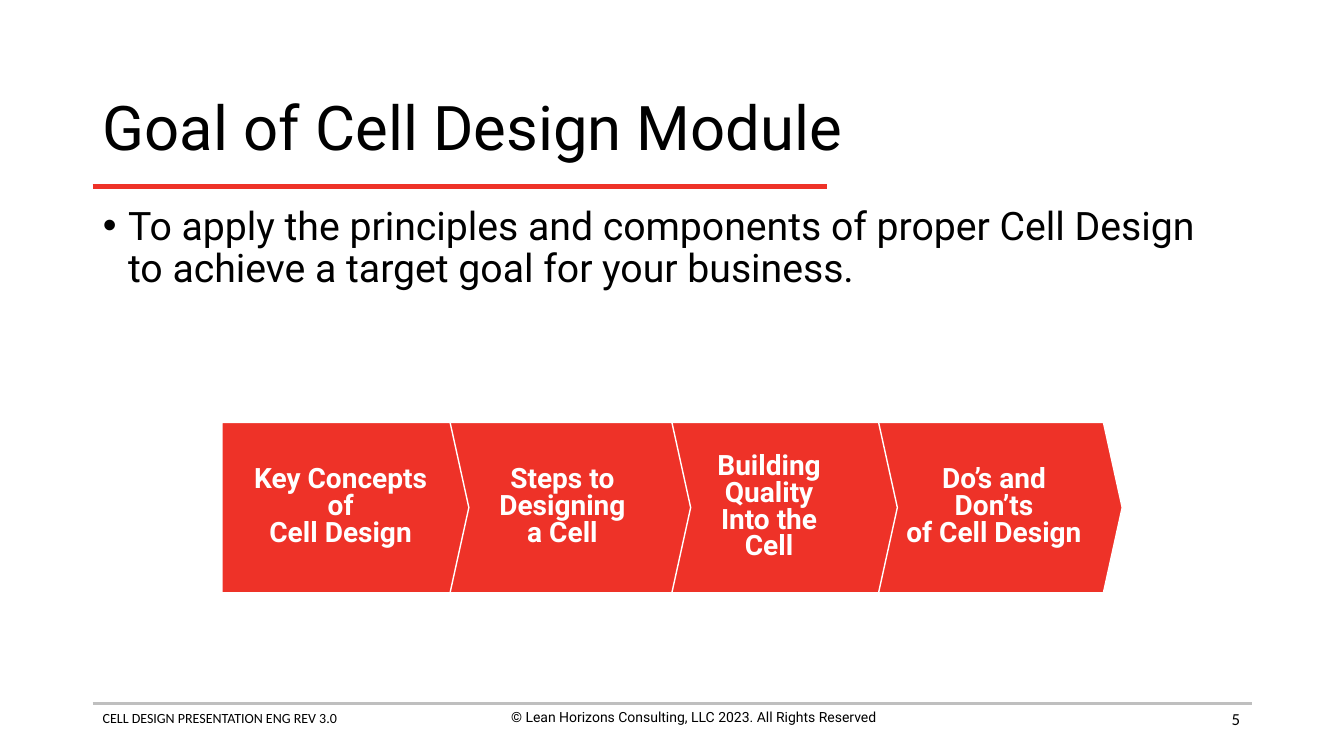
from dataclasses import dataclass

from lxml.etree import SubElement
from pptx import Presentation
from pptx.dml.color import RGBColor
from pptx.enum.shapes import MSO_CONNECTOR, MSO_SHAPE
from pptx.enum.text import MSO_ANCHOR, MSO_AUTO_SIZE, PP_ALIGN
from pptx.oxml.ns import qn
from pptx.util import Inches, Pt


@dataclass(frozen=True)
class Theme:
    red: RGBColor = RGBColor(0xEE, 0x32, 0x28)
    grey: RGBColor = RGBColor(0xBF, 0xBF, 0xBF)
    black: RGBColor = RGBColor(0, 0, 0)
    white: RGBColor = RGBColor(0xFF, 0xFF, 0xFF)
    main_font: str = "Roboto"
    footer_font: str = "Calibri"
    title_size: int = 44
    body_size: int = 28
    step_size: int = 20
    page_size: int = 12
    footer_size: int = 10


class SlideBuilder:
    def __init__(self, slide, theme):
        self.slide = slide
        self.theme = theme

    def place(self, shape, left, top, width, height):
        shape.left, shape.top = Inches(left), Inches(top)
        shape.width, shape.height = Inches(width), Inches(height)

    def set_text(self, shape, text, size, align=PP_ALIGN.LEFT, anchor=MSO_ANCHOR.TOP,
                 font=None, color=None, bold=False, spacing=1.0, wrap=True):
        frame = shape.text_frame
        frame.word_wrap = wrap
        frame.auto_size = MSO_AUTO_SIZE.NONE
        frame.vertical_anchor = anchor
        paragraph = frame.paragraphs[0]
        paragraph.text = text
        paragraph.alignment = align
        paragraph.line_spacing = spacing
        paragraph.space_before = Pt(0)
        for run in paragraph.runs:
            run.font.name = font or self.theme.main_font
            run.font.size = Pt(size)
            run.font.bold = bold
            run.font.color.rgb = color or self.theme.black

    def title(self, text, *box):
        heading = self.slide.shapes.title
        self.place(heading, *box)
        self.set_text(heading, text, self.theme.title_size,
                      anchor=MSO_ANCHOR.MIDDLE, spacing=0.9)

    def bullet(self, text, *box):
        body = self.slide.placeholders[1]
        self.place(body, *box)
        properties = body.text_frame.paragraphs[0]._p.get_or_add_pPr()
        properties.set("marL", str(Inches(0.25)))
        properties.set("indent", str(-Inches(0.25)))
        SubElement(properties, qn("a:buFont")).set("typeface", "Arial")
        SubElement(properties, qn("a:buChar")).set("char", "•")
        self.set_text(body, text, self.theme.body_size, spacing=0.9)

    def label(self, text, box, size, **style):
        left, top, width, height = map(Inches, box)
        textbox = self.slide.shapes.add_textbox(left, top, width, height)
        self.set_text(textbox, text, size, **style)

    def rule(self, left, right, y, color, weight):
        line = self.slide.shapes.add_connector(
            MSO_CONNECTOR.STRAIGHT, Inches(left), Inches(y), Inches(right), Inches(y))
        line.line.color.rgb = color
        line.line.width = Pt(weight)
        SubElement(line._element.spPr, qn("a:effectLst"))

    def step(self, text, left, top, width, height):
        arrow = self.slide.shapes.add_shape(
            MSO_SHAPE.PENTAGON, Inches(left), Inches(top), Inches(width), Inches(height))
        arrow.adjustments[0] = 0.11
        arrow.shadow.inherit = False
        arrow.fill.solid()
        arrow.fill.fore_color.rgb = self.theme.red
        arrow.line.color.rgb = self.theme.white
        arrow.line.width = Pt(1)
        self.set_text(arrow, text, self.theme.step_size, align=PP_ALIGN.CENTER,
                      anchor=MSO_ANCHOR.MIDDLE, color=self.theme.white, bold=True,
                      spacing=0.8, wrap=False)


def main():
    theme = Theme()
    presentation = Presentation()
    presentation.slide_width = Inches(13.33)
    presentation.slide_height = Inches(7.5)
    slide = presentation.slides.add_slide(presentation.slide_layouts[1])
    builder = SlideBuilder(slide, theme)
    margin, content_width = 0.92, 11.5

    builder.rule(margin, margin + content_width, 6.98, theme.grey, 2)
    builder.label("CELL DESIGN PRESENTATION ENG REV 3.0", (margin, 6.99, 4.56, 0.44),
                  theme.footer_size, font=theme.footer_font)
    builder.label("© Lean Horizons Consulting, LLC 2023. All Rights Reserved",
                  (4.6, 6.98, 4.56, 0.44), theme.footer_size, align=PP_ALIGN.CENTER)
    builder.rule(margin, 8.2, 1.85, theme.red, 3)
    builder.title("Goal of Cell Design Module", margin, 0.74, content_width, 1.1)
    builder.bullet("To apply the principles and components of proper Cell Design \n"
                   "to achieve a target goal for your business.",
                   margin, 2, content_width, 4.76)
    builder.label("5", (9.4, 6.93, 3, 0.4), theme.page_size, align=PP_ALIGN.RIGHT,
                  anchor=MSO_ANCHOR.MIDDLE, font=theme.footer_font)

    steps = [
        ("Do’s and\nDon’ts\nof Cell Design", 8.68),
        ("Building\nQuality\nInto the\nCell", 6.45),
        ("Steps to\nDesigning\na Cell", 4.4),
        ("Key Concepts\nof\nCell Design", 2.2),
    ]
    for text, left in steps:
        builder.step(text, left, 4.19, 2.45, 1.69)

    presentation.save("out.pptx")


if __name__ == "__main__":
    main()
